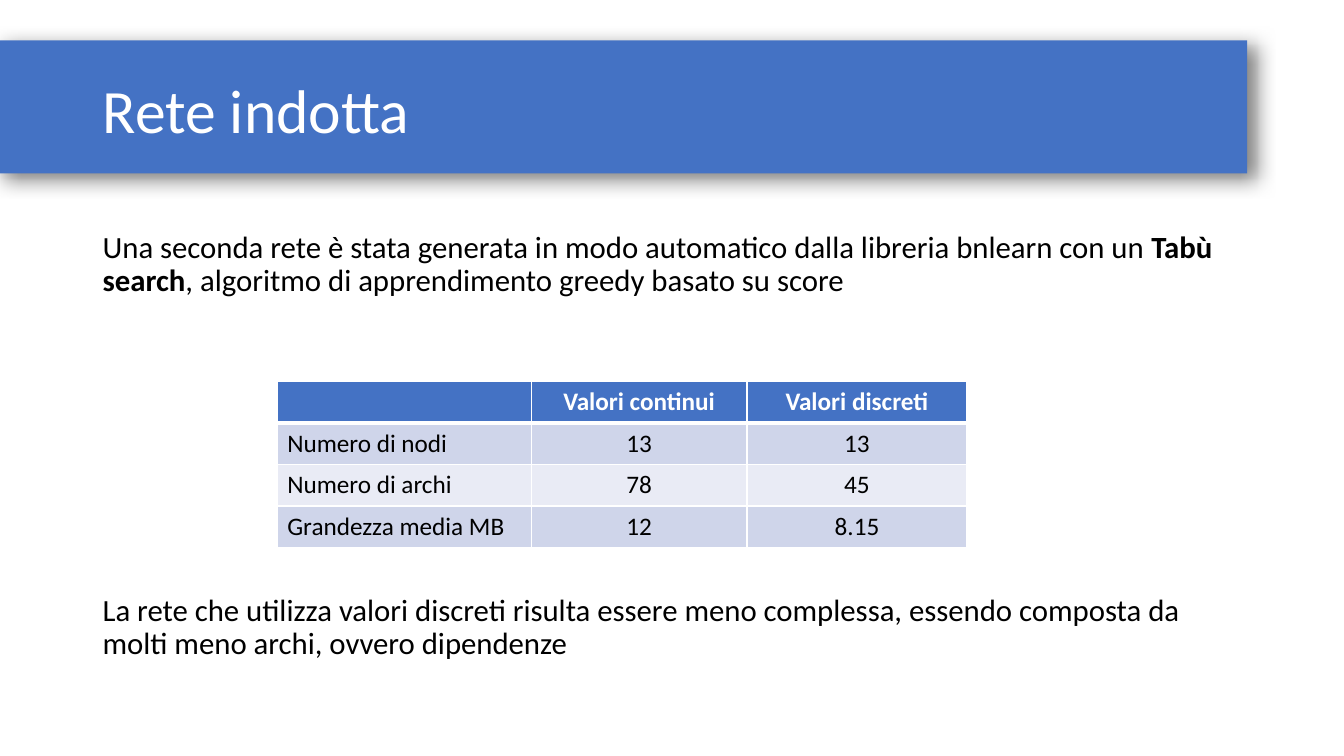
from lxml import etree
from pptx import Presentation
from pptx.dml.color import RGBColor
from pptx.enum.shapes import MSO_SHAPE
from pptx.enum.text import MSO_ANCHOR, PP_ALIGN
from pptx.oxml import parse_xml
from pptx.oxml.ns import nsdecls
from pptx.util import Inches, Pt

COLORS = {
    "blue": "4472C4",
    "white": "FFFFFF",
    "black": "000000",
    "band_dark": "CFD5EA",
    "band_light": "E9EBF5",
}


def format_runs(paragraph, size, color, bold=False):
    for run in paragraph.runs:
        run.font.name = "Calibri"
        run.font.size = Pt(size)
        run.font.bold = bold
        run.font.color.rgb = RGBColor.from_string(COLORS[color])


def add_border(cell, side, width):
    properties = cell._tc.get_or_add_tcPr()
    line = parse_xml(
        f'<a:{side} {nsdecls("a")} w="{Pt(width)}"><a:solidFill>'
        f'<a:srgbClr val="{COLORS["white"]}"/></a:solidFill></a:{side}>'
    )
    properties.append(line)


presentation = Presentation()
presentation.slide_width = Inches(13.33)
presentation.slide_height = Inches(7.5)
slide = presentation.slides.add_slide(presentation.slide_layouts[6])

banner = slide.shapes.add_shape(
    MSO_SHAPE.RECTANGLE, Inches(-0.05), Inches(0.4), Inches(12.42), Inches(1.32)
)
banner.fill.solid()
banner.fill.fore_color.rgb = RGBColor.from_string(COLORS["blue"])
banner.line.fill.background()
banner.shadow.inherit = False
effects = banner._element.spPr.find("{*}effectLst")
effects.append(parse_xml(
    f'<a:outerShdw {nsdecls("a")} blurRad="{Pt(14)}" dist="{Pt(7)}" '
    f'dir="{32 * 60000}" algn="tl" rotWithShape="0">'
    f'<a:srgbClr val="{COLORS["black"]}"><a:alpha val="49000"/></a:srgbClr>'
    '</a:outerShdw>'
))

title = slide.shapes.add_textbox(Inches(0.92), Inches(0.4), Inches(11.5), Inches(1.45))
title.text_frame.word_wrap = True
title.text_frame.vertical_anchor = MSO_ANCHOR.MIDDLE
title.text_frame.text = "Rete indotta"
title.text_frame.paragraphs[0].line_spacing = 0.9
format_runs(title.text_frame.paragraphs[0], 44, "white")

body = slide.shapes.add_textbox(Inches(0.92), Inches(2.25), Inches(11.5), Inches(4.85))
body.text_frame.word_wrap = True
intro = body.text_frame.paragraphs[0]
for text in (
    "Una seconda rete è stata generata in modo automatico dalla libreria bnlearn con un ",
    "Tabù search",
    ", algoritmo di apprendimento greedy basato su score",
):
    intro.add_run().text = text
conclusion = body.text_frame.add_paragraph()
conclusion.text = (
    "La rete che utilizza valori discreti risulta essere meno complessa, "
    "essendo composta da molti meno archi, ovvero dipendenze"
)
for paragraph, space_before in ((intro, 10), (conclusion, 212)):
    paragraph.line_spacing = 0.9
    paragraph.space_before = Pt(space_before)
    format_runs(paragraph, 22, "black")
intro.runs[1].font.bold = True

rows = [
    ["", "Valori continui", "Valori discreti"],
    ["Numero di nodi", "13", "13"],
    ["Numero di archi", "78", "45"],
    ["Grandezza media MB", "12", "8.15"],
]
row_fills = ["blue", "band_dark", "band_light", "band_dark"]
table = slide.shapes.add_table(
    4, 3, Inches(2.75), Inches(3.78), Inches(6.84), Inches(1.64)
).table
for column, width in zip(table.columns, (2.52, 2.14, 2.18)):
    column.width = Inches(width)

for row_index, (values, fill) in enumerate(zip(rows, row_fills)):
    is_header = row_index == 0
    table.rows[row_index].height = Inches(0.42 if is_header else 0.41)
    for column_index, value in enumerate(values):
        cell = table.cell(row_index, column_index)
        cell.text_frame.text = value
        cell.vertical_anchor = MSO_ANCHOR.MIDDLE
        paragraph = cell.text_frame.paragraphs[0]
        paragraph.alignment = PP_ALIGN.CENTER if column_index else PP_ALIGN.LEFT
        format_runs(paragraph, 18, "white" if is_header else "black", is_header)
        for side in ("lnL", "lnR", "lnT", "lnB"):
            header_edge = (row_index, side) in ((0, "lnB"), (1, "lnT"))
            add_border(cell, side, 3 if header_edge else 1)
        cell.fill.solid()
        cell.fill.fore_color.rgb = RGBColor.from_string(COLORS[fill])

presentation.save("out.pptx")
